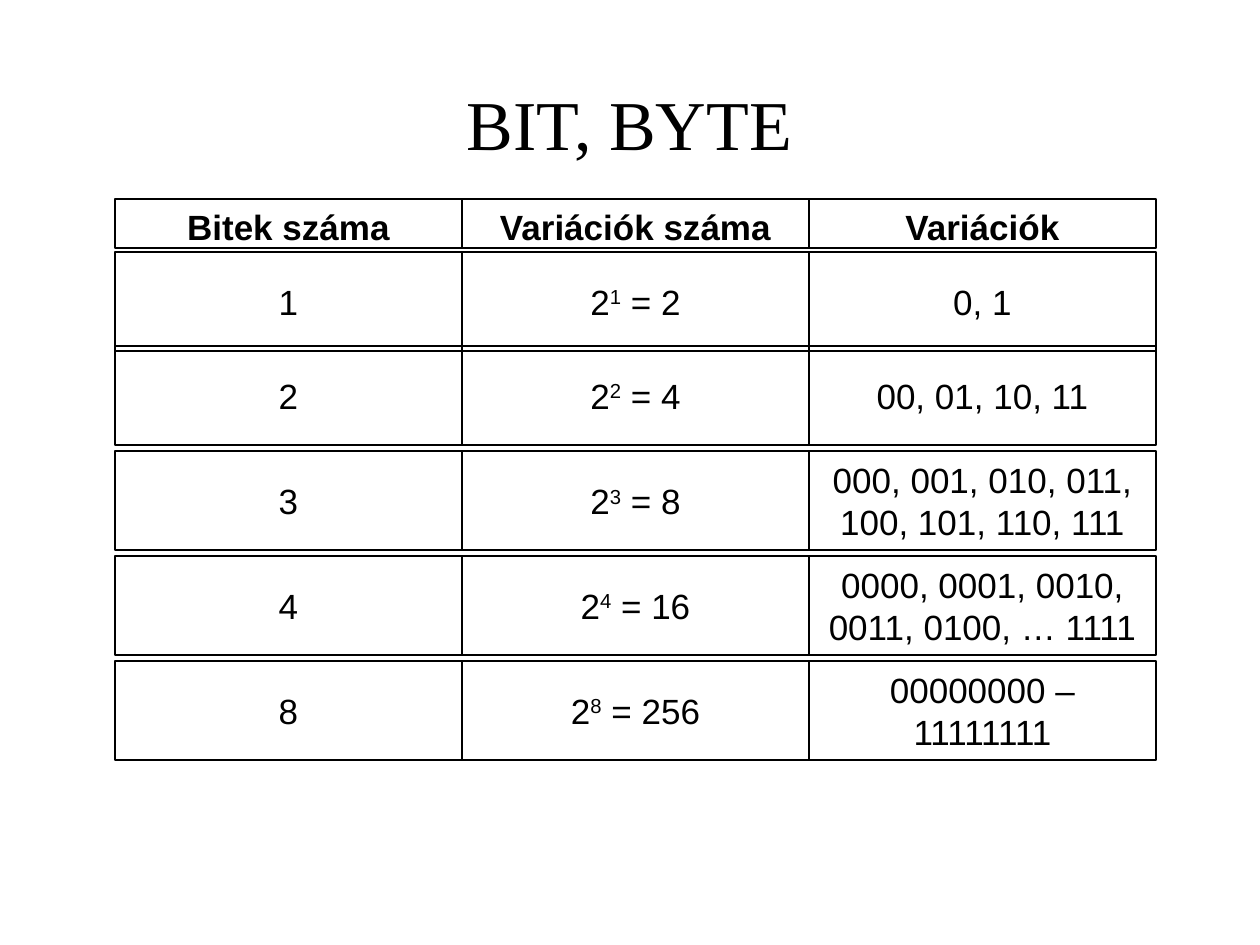
from dataclasses import dataclass

from pptx import Presentation
from pptx.dml.color import RGBColor
from pptx.enum.shapes import MSO_SHAPE as Shape
from pptx.enum.text import MSO_ANCHOR as Anchor, MSO_AUTO_SIZE as AutoSize, PP_ALIGN as Align
from pptx.util import Pt

SCALE = 914400 / 126  # EMU per px


@dataclass(frozen=True)
class Theme:
    ink: RGBColor = RGBColor(0, 0, 0)
    title_font: str = "Times New Roman"
    cell_font: str = "Arial"
    title_size: float = 40
    cell_size: float = 20
    cell_space: float = 12.5
    line_width: float = 0.75


THEME = Theme()

# Grid of boxes, in px
LEFT, COLUMN_WIDTH = 115, 347
HEADER_TOP, HEADER_HEIGHT = 199, 49
ROW_HEIGHT = 99

HEADERS = ["Bitek száma", "Variációk száma", "Variációk"]
# Top of the row, number of bits, variations
ROWS = [
    (252, 1, "0, 1"),
    (346, 2, "00, 01, 10, 11"),
    (451, 3, "000, 001, 010, 011, 100, 101, 110, 111"),
    (556, 4, "0000, 0001, 0010, 0011, 0100, … 1111"),
    (661, 8, "00000000 – 11111111"),
]


def px(*lengths):
    return [round(length * SCALE) for length in lengths]


def style_span(span, font, size, bold=False):
    span.font.name = font
    span.font.size = Pt(size)
    span.font.bold = bold
    span.font.color.rgb = THEME.ink


def set_title(page, text):
    title = page.shapes.title
    title.left, title.top, title.width, title.height = px(94, 84, 1071, 77)
    frame = title.text_frame
    frame.text = text
    frame.auto_size = AutoSize.NONE
    frame.vertical_anchor = Anchor.MIDDLE
    para = frame.paragraphs[0]
    para.alignment = Align.CENTER
    style_span(para.runs[0], THEME.title_font, THEME.title_size)


def add_cell(group, column, top, height, parts, header=False):
    """Outlined box; the second of several text parts is an exponent."""
    left = LEFT + column * COLUMN_WIDTH
    box = group.shapes.add_shape(Shape.RECTANGLE, *px(left, top, COLUMN_WIDTH, height))
    box.shadow.inherit = False
    box.fill.background()
    box.line.color.rgb = THEME.ink
    box.line.width = Pt(THEME.line_width)

    frame = box.text_frame
    frame.word_wrap = True
    frame.vertical_anchor = Anchor.TOP if header else Anchor.MIDDLE
    para = frame.paragraphs[0]
    para.alignment = Align.CENTER
    para.space_before = Pt(THEME.cell_space)
    for index, part in enumerate(parts):
        span = para.add_run()
        span.text = part
        style_span(span, THEME.cell_font, THEME.cell_size, header)
        if index == 1:
            span.font._element.set("baseline", "30000")


def add_row(page, top, height, cells, header=False):
    group = page.shapes.add_group_shape()
    for column, parts in reversed(list(enumerate(cells))):
        add_cell(group, column, top, height, parts, header)


def main():
    deck = Presentation()
    deck.slide_width, deck.slide_height = px(1260, 945)
    page = deck.slides.add_slide(deck.slide_layouts[5])

    set_title(page, "BIT, BYTE")

    # Header, then one row for each number of bits
    add_row(page, HEADER_TOP, HEADER_HEIGHT, [[text] for text in HEADERS], header=True)
    for top, bits, variations in ROWS:
        power = ["2", str(bits), f" = {2 ** bits}"]
        add_row(page, top, ROW_HEIGHT, [[str(bits)], power, [variations]])

    deck.save("out.pptx")


if __name__ == "__main__":
    main()
